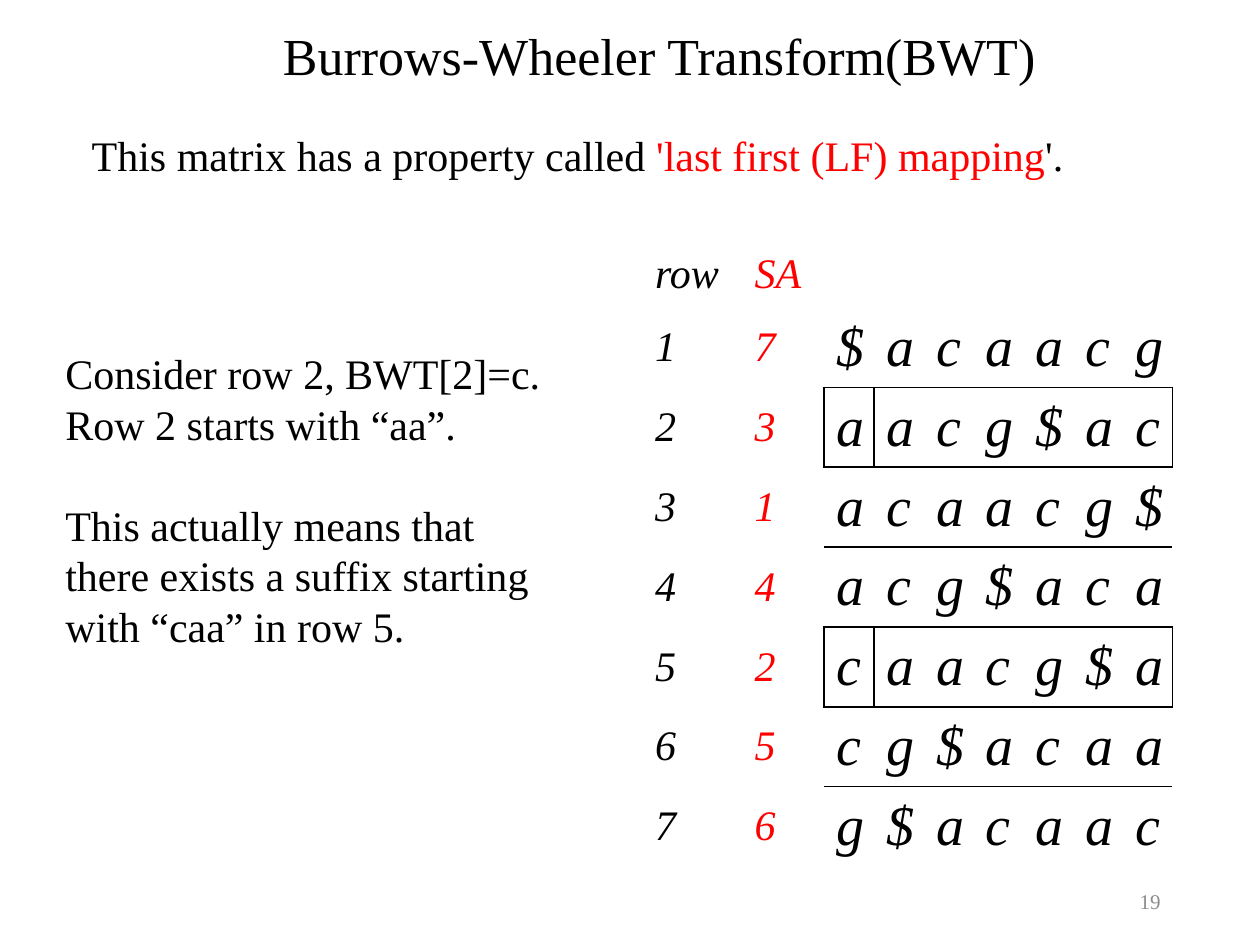
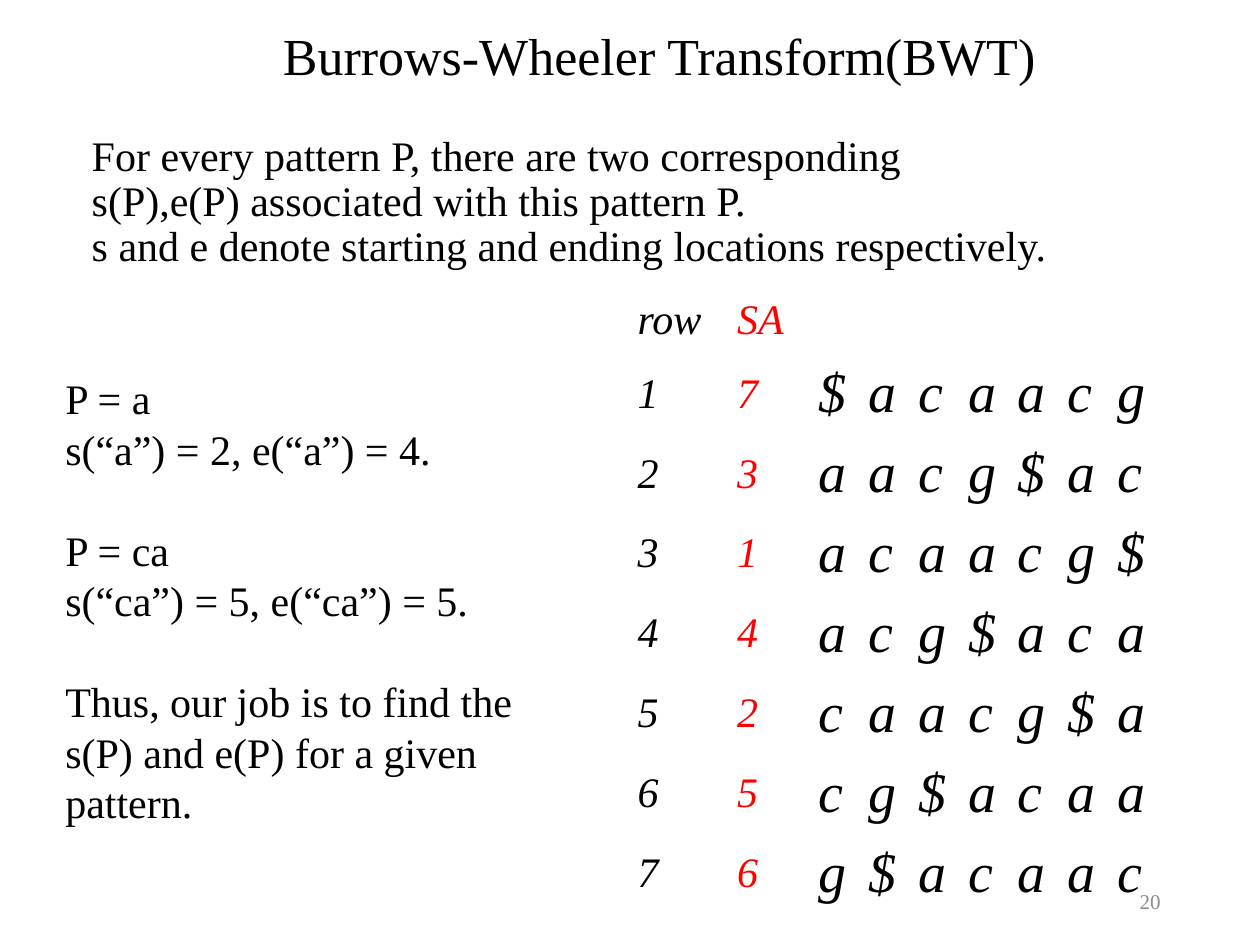
from dataclasses import dataclass
from typing import Any

from lxml import etree
from pptx import Presentation
from pptx.dml.color import RGBColor
from pptx.enum.text import MSO_ANCHOR, PP_ALIGN
from pptx.oxml.ns import qn
from pptx.util import Inches, Pt

BLACK = RGBColor(0x00, 0x00, 0x00)
RED = RGBColor(0xFF, 0x00, 0x00)
GREY = RGBColor(0x8C, 0x8C, 0x8C)
FACE = "Times New Roman"
TOP, MIDDLE, BOTTOM = MSO_ANCHOR.TOP, MSO_ANCHOR.MIDDLE, MSO_ANCHOR.BOTTOM
LEFT, CENTER, RIGHT = PP_ALIGN.LEFT, PP_ALIGN.CENTER, PP_ALIGN.RIGHT
PLAIN = "{2D5ABB26-0587-4C30-8999-92F81FD0307C}"
WORD = "acaacg$"
ORDER = (7, 3, 1, 4, 2, 5, 6)
ROW_W, SA_W, CHAR_W = 0.79, 0.65, 0.395
HEAD_H, ROW_H = 0.3, 0.63

Run = tuple[str, RGBColor]
Line = list[Run]


@dataclass
class Box:
    left: float
    top: float
    width: float
    height: float
    anchor: Any = TOP
    align: Any = LEFT
    size: float = 24
    pitch: float = 1.0


@dataclass
class Page:
    number: int
    intro: list[Line]
    left: float
    top: float
    framed: tuple[int, ...]
    side: Box
    groups: list[list[str]]


TITLE = Box(1.96, 0, 6.55, 0.74, BOTTOM, CENTER, 29.7, 0.9)
NUMBER = Box(7.06, 6.95, 2.25, 0.4, MIDDLE, RIGHT, 12)
INTRO = Box(0.63, 1.02, 8.84, 6.48, pitch=0.9)
GAP = Pt(29)


def plain(text: str, color: RGBColor = BLACK) -> Line:
    return [(text, color)]


def style(font: Any, size: float, color: RGBColor, italic: bool = False) -> None:
    for name, value in {"name": FACE, "size": Pt(size), "italic": italic}.items():
        setattr(font, name, value)
    font.color.rgb = color


def write(slide: Any, box: Box, groups: list[list[Line]]) -> None:
    spot = map(Inches, (box.left, box.top, box.width, box.height))
    frame = slide.shapes.add_textbox(*spot).text_frame
    frame.word_wrap = True
    frame.vertical_anchor = box.anchor
    first = True
    for group in groups:
        for index, line in enumerate(group):
            para = frame.paragraphs[0] if first else frame.add_paragraph()
            before = GAP if index == 0 and not first else Pt(0)
            form = {"alignment": box.align, "line_spacing": box.pitch, "space_before": before}
            for name, value in form.items():
                setattr(para, name, value)
            for text, color in line:
                run = para.add_run()
                run.text = text
                style(run.font, box.size, color)
            first = False


def fill(cell: Any, text: str, size: float, color: RGBColor, anchor: Any) -> None:
    cell.vertical_anchor = anchor
    run = cell.text_frame.paragraphs[0].add_run()
    run.text = text
    style(run.font, size, color, True)


def edge(cell: Any, sides: str) -> None:
    props = cell._tc.get_or_add_tcPr()
    for side in sides:
        line = etree.SubElement(props, qn(f"a:ln{side}"), w=str(Pt(1)))
        paint = etree.SubElement(line, qn("a:solidFill"))
        etree.SubElement(paint, qn("a:srgbClr"), val=str(BLACK))


def sides(row: int, col: int, last: int, framed: tuple[int, ...]) -> str:
    inside = row in framed
    marks = {
        "L": inside and col == 2,
        "R": inside and col in (1, last),
        "T": col > 1 and (inside or row - 1 in framed),
        "B": col > 1 and (inside or row + 1 in framed),
    }
    return "".join(side for side, shown in marks.items() if shown)


def matrix(slide: Any, page: Page) -> None:
    widths = [ROW_W, SA_W] + [CHAR_W] * len(WORD)
    heights = [HEAD_H] + [ROW_H] * len(ORDER)
    spot = map(Inches, (page.left, page.top, sum(widths), sum(heights)))
    frame = slide.shapes.add_table(len(heights), len(widths), *spot)
    table = frame.table
    table.first_row = table.horz_banding = False
    table._tbl.tblPr.find(qn("a:tableStyleId")).text = PLAIN
    for col, width in zip(table.columns, widths):
        col.width = Inches(width)
    for row, height in zip(table.rows, heights):
        row.height = Inches(height)
    rows = [["row", "SA"]]
    for index, start in enumerate(ORDER, 1):
        rows.append([str(index), str(start), *WORD[start - 1:], *WORD[:start - 1]])
    for r, row in enumerate(rows):
        for c, text in enumerate(row):
            size = 24 if c < 2 else 32
            color = RED if c == 1 else BLACK
            fill(table.cell(r, c), text, size, color, MIDDLE if r else TOP)
    for r in range(len(heights)):
        for c in range(len(widths)):
            cell = table.cell(r, c)
            edge(cell, sides(r, c, len(widths) - 1, page.framed))
            cell.fill.background()


def draw(deck: Any, page: Page) -> None:
    slide = deck.slides.add_slide(deck.slide_layouts[6])
    write(slide, TITLE, [[plain("Burrows-Wheeler Transform(BWT)")]])
    write(slide, NUMBER, [[plain(str(page.number), GREY)]])
    write(slide, INTRO, [page.intro])
    matrix(slide, page)
    write(slide, page.side, [[plain(text) for text in group] for group in page.groups])


PAGES = [
    Page(
        19,
        [[("This matrix has a property called ", BLACK),
          ("'last first (LF) mapping", RED), ("'.", BLACK)]],
        5.1, 1.94, (2, 5),
        Box(0.42, 2.71, 4.11, 2.52),
        [["Consider row 2, BWT[2]=c.", "Row 2 starts with “aa”."],
         ["This actually means that", "there exists a suffix starting",
          "with “caa” in row 5."]],
    ),
    Page(
        20,
        [plain("For every pattern P, there are two corresponding"),
         plain("s(P),e(P) associated with this pattern P."),
         plain("s and e denote starting and ending locations respectively.")],
        4.96, 2.31, (),
        Box(0.42, 2.91, 3.86, 3.74),
        [["P = a", "s(“a”) = 2, e(“a”) = 4."],
         ["P = ca", "s(“ca”) = 5, e(“ca”) = 5."],
         ["Thus, our job is to find the", "s(P) and e(P) for a given", "pattern."]],
    ),
]


def main() -> None:
    deck = Presentation()
    deck.slide_width, deck.slide_height = Inches(10), Inches(7.5)
    for page in PAGES:
        draw(deck, page)
    deck.save("out.pptx")


if __name__ == "__main__":
    main()
